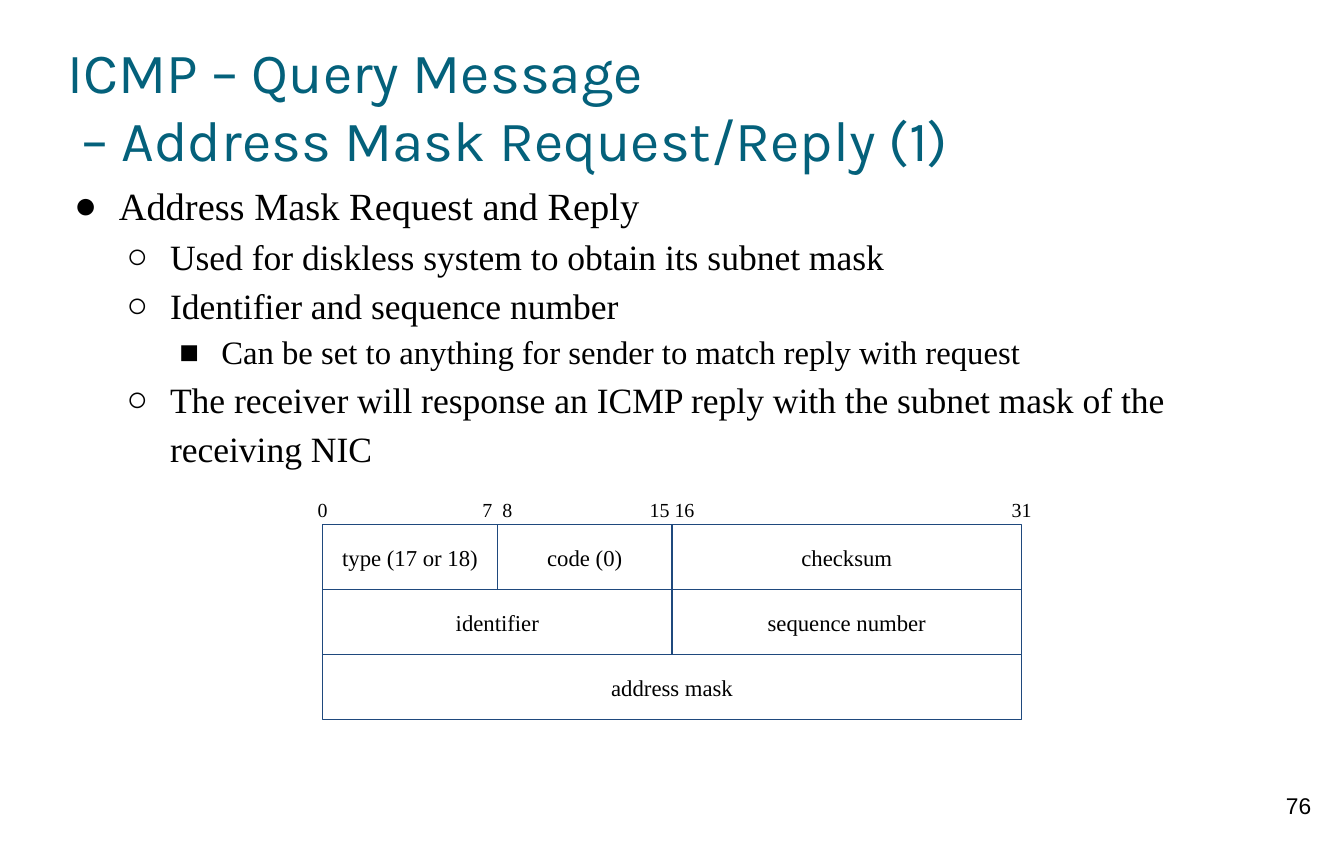
from lxml.etree import SubElement as Sub
from pptx import Presentation
from pptx.dml.color import RGBColor
from pptx.enum.shapes import MSO_SHAPE as Shape
from pptx.enum.text import MSO_ANCHOR as Anchor, MSO_AUTO_SIZE as Fit, PP_ALIGN as Align
from pptx.oxml.ns import qn
from pptx.util import Pt

TEAL = RGBColor(0x04, 0x61, 0x7B)
NAVY = RGBColor(0x1F, 0x49, 0x7D)
BLACK = RGBColor(0, 0, 0)
SERIF = "Times New Roman"


def set_up(box, pad, anchor, fit=Fit.NONE):
    frame = box.text_frame
    frame.word_wrap = True
    frame.auto_size = fit
    frame.vertical_anchor = anchor
    frame.margin_left = frame.margin_right = Pt(pad)
    frame.margin_top = frame.margin_bottom = Pt(pad)
    return frame


def write(para, text, size, font=SERIF, color=BLACK, align=Align.CENTER):
    para.alignment = align
    run = para.add_run()
    run.text = text
    run.font.size = Pt(size)
    run.font.name = font
    run.font.color.rgb = color


deck = Presentation()
deck.slide_width, deck.slide_height = Pt(944.64), Pt(595.44)
slide = deck.slides.add_slide(deck.slide_layouts[1])
title, body = slide.placeholders

# Title
title.left, title.top, title.width, title.height = Pt(47.5), Pt(23.8), Pt(850.3), Pt(99.4)
frame = set_up(title, 0, Anchor.MIDDLE)
heads = ["ICMP – Query Message", " – Address Mask Request/Reply (1)"]
for i, text in enumerate(heads):
    para = frame.add_paragraph() if i else frame.paragraphs[0]
    write(para, text, 40, "Karla", TEAL, Align.LEFT)

# Bullet list: size, bullet and hanging indent for each level
levels = [(27, "●", 31.5), (25, "○", 30.5), (23, "■", 29.5)]
points = [
    (0, "Address Mask Request and Reply"),
    (1, "Used for diskless system to obtain its subnet mask"),
    (1, "Identifier and sequence number"),
    (2, "Can be set to anything for sender to match reply with request"),
    (1, "The receiver will response an ICMP reply with the subnet mask of the receiving NIC"),
]
body.left, body.top, body.width, body.height = Pt(47.5), Pt(123.2), Pt(852.5), Pt(445.7)
frame = set_up(body, 0, Anchor.TOP)
for i, (level, text) in enumerate(points):
    size, mark, hang = levels[level]
    para = frame.add_paragraph() if i else frame.paragraphs[0]
    para.level = level
    para.line_spacing = 1.15
    para.space_before = Pt(0)
    write(para, text, size, align=Align.LEFT)
    props = para._p.get_or_add_pPr()
    props.set("marL", str(Pt(36 * (level + 1))))
    props.set("indent", str(-Pt(hang)))
    Sub(Sub(props, qn("a:buClr")), qn("a:srgbClr")).set("val", str(BLACK))
    Sub(props, qn("a:buChar")).set("char", mark)

# Packet layout: each field spans a range of bits in a 32-bit row
LEFT, TOP, BIT, ROW = 226.8, 368.8, 15.35, 45.7
fields = [
    (0, 0, 8, "type (17 or 18)"),
    (0, 8, 16, "code (0)"),
    (0, 16, 32, "checksum"),
    (1, 0, 16, "identifier"),
    (1, 16, 32, "sequence number"),
    (2, 0, 32, "address mask"),
]
packet = slide.shapes.add_group_shape().shapes
for row, start, end, text in fields:
    cell = packet.add_shape(Shape.RECTANGLE, Pt(LEFT + start * BIT), Pt(TOP + row * ROW),
                            Pt((end - start) * BIT), Pt(ROW))
    cell.shadow.inherit = False
    cell.fill.background()
    cell.line.color.rgb = NAVY
    cell.line.width = Pt(0.75)
    write(set_up(cell, 7.2, Anchor.MIDDLE).paragraphs[0], text, 16)

# Bit numbers, centred on the field edges
for bit, wide, text in [(0, 29.5, "0"), (8, 37.5, "7  8"), (16, 47.5, "15 16"), (32, 29.5, "31")]:
    label = packet.add_textbox(Pt(LEFT + bit * BIT - wide / 2), Pt(342.7), Pt(wide), Pt(31.7))
    frame = set_up(label, 7.2, Anchor.TOP, Fit.SHAPE_TO_FIT_TEXT)
    write(frame.paragraphs[0], text, 14)

# Page number
page = slide.shapes.add_textbox(Pt(884.2), Pt(549.4), Pt(56.9), Pt(45.4))
write(set_up(page, 7.2, Anchor.TOP).paragraphs[0], "76", 16, "Arial")

deck.save("out.pptx")
